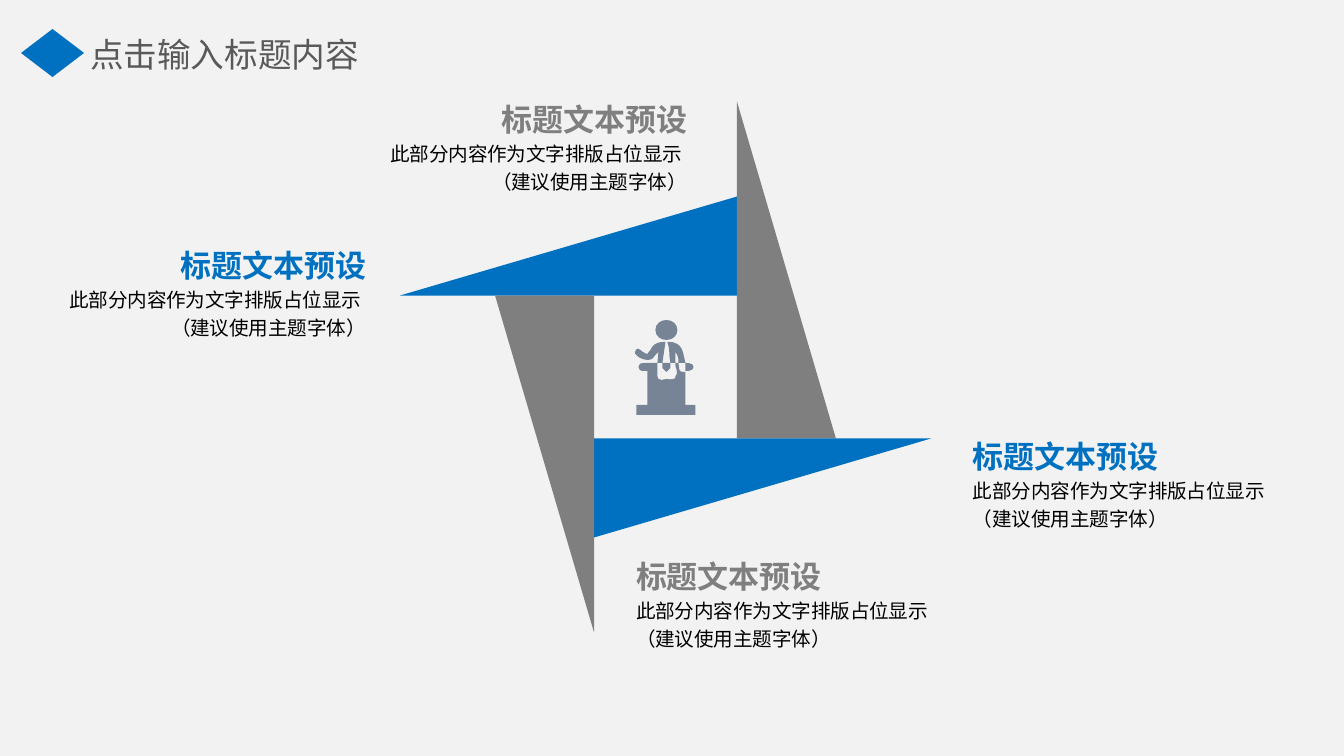
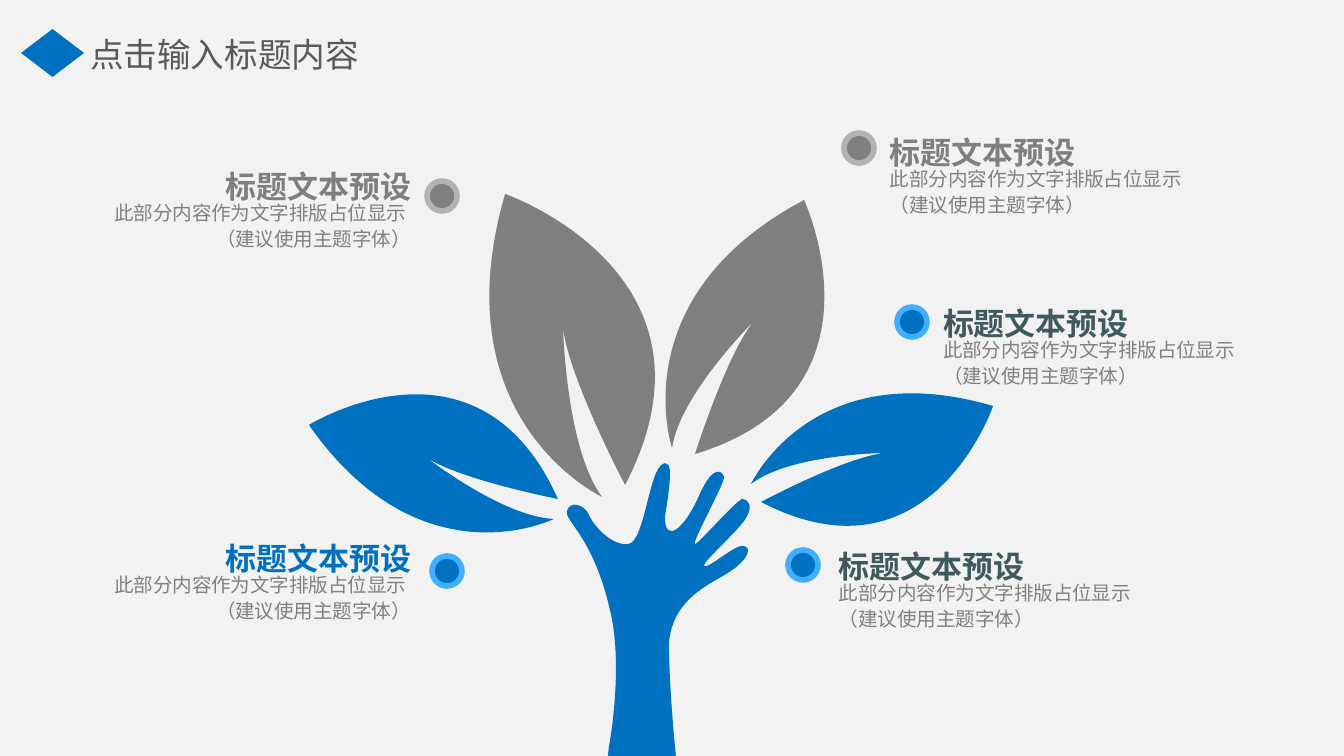
import math
from collections import namedtuple

from lxml import etree
from pptx import Presentation
from pptx import util as u
from pptx.dml.color import RGBColor
from pptx.enum import shapes, text
from pptx.oxml import ns

PX = 914400 / 134.4  # EMU in one px
SLIDE_WIDTH, SLIDE_HEIGHT = 1344, 756
FONT = "Noto Sans CJK SC"
BACKGROUND = RGBColor(0xF2, 0xF2, 0xF2)
BLUE = RGBColor(0x00, 0x70, 0xC0)
LIGHT_BLUE = RGBColor(0x40, 0xAF, 0xFF)
GRAY = RGBColor(0x7F, 0x7F, 0x7F)
LIGHT_GRAY = RGBColor(0xB2, 0xB2, 0xB2)
TEXT_GRAY = RGBColor(0x80, 0x80, 0x80)
TITLE_GRAY = RGBColor(0x59, 0x59, 0x59)
TEAL = RGBColor(0x40, 0x59, 0x5D)
SLATE = RGBColor(0x77, 0x84, 0x95)
BLACK = RGBColor(0x00, 0x00, 0x00)

LEFT, RIGHT = text.PP_ALIGN.LEFT, text.PP_ALIGN.RIGHT
TOP, MIDDLE = text.MSO_ANCHOR.TOP, text.MSO_ANCHOR.MIDDLE

SLIDE_TITLE = "点击输入标题内容"
HEADING = "标题文本预设"
BODY = "此部分内容作为文字排版占位显示 \n（建议使用主题字体）"
HEADING_HEIGHT = 31

Box = namedtuple("Box", "left top width height")
BodyStyle = namedtuple("BodyStyle", "height color line_spacing anchor")

# Outlines: a start point, then lines (x, y), curves whose first control is
# the current point (x2, y2, x, y), and full curves (x1, y1, x2, y2, x, y).
SPEAKER = [
    # head
    [(31, 0), (37, 0, 42, 4, 42, 10), (42, 16, 37, 20, 31, 20),
     (25, 20, 20, 16, 20, 10), (20, 4, 25, 0, 31, 0)],
    # left arm
    [(30, 22), (27, 43), (22, 43), (23, 32), (20, 35),
     (19, 38, 16, 40, 12, 40), (7, 40, 1, 36, 1, 35),
     (-1, 34, -1, 32, 0, 31), (1, 28, 4, 28, 5, 30),
     (7, 32, 11, 34, 12, 34), (12, 34, 13, 32, 15, 30),
     (16, 27, 19, 24, 22, 23), (24, 22, 26, 22, 30, 22)],
    # right arm
    [(32, 22), (36, 22, 39, 22, 42, 24), (46, 27, 47, 30, 48, 34),
     (50, 43), (43, 43), (43, 39), (42, 36, 42, 34, 40, 32),
     (40, 34, 40, 36, 40, 39), (40, 43), (35, 43), (34, 36),
     (34, 34, 34, 28, 32, 22)],
    # tie
    [(27, 43), (35, 43), (35, 48), (31, 52), (27, 48)],
    # right sleeve
    [(50, 43), (55, 43, 58, 44, 58, 47), (58, 50, 55, 51, 50, 51)],
    # lectern
    [(9, 43), (22, 43), (22, 56), (22, 58, 23, 60, 26, 60),
     (27, 60, 30, 59, 31, 59), (34, 59, 36, 60, 38, 59),
     (40, 59, 40, 58, 40, 56), (42, 55, 42, 51, 40, 46), (40, 43),
     (43, 43), (44, 50), (44, 51, 46, 52, 47, 52), (50, 52), (50, 85),
     (60, 85), (60, 95), (1, 95), (1, 85), (12, 85), (12, 51), (9, 51),
     (5, 51, 3, 50, 3, 47), (3, 44, 5, 43, 9, 43)],
]
HAND = [
    (367, 274), (373, 275, 369, 302, 365, 327),
    (365, 354, 384, 340, 399, 306), (414, 272, 423, 282, 424, 287),
    (426, 291, 392, 352, 395, 354), (396, 357, 439, 307, 443, 309),
    (447, 310, 455, 314, 445, 330), (434, 345, 403, 372, 404, 376),
    (407, 380, 432, 357, 442, 356), (453, 356, 449, 369, 431, 381),
    (414, 393, 372, 407, 369, 454), (369, 486, 373, 537, 376, 566),
    (308, 566), (309, 557), (316, 517, 320, 460, 310, 420),
    (293, 346, 264, 331, 267, 321), (270, 310, 285, 315, 289, 325),
    (293, 335, 312, 357, 329, 354), (345, 350, 349, 280, 363, 274),
    (364, 273, 365, 273, 367, 274),
]
# Colour, frame in the tree, rotation and outline, from back to front
TREE = [
    (GRAY, Box(130, -5, 313, 312), 82.7,
     [(302, 307), (139, 231, 205, 4), (435, 84, 325, 295),
      (269, 189, 263, 138), (266, 259, 302, 307)]),
    (BLUE, Box(267, 274, 183, 292), 0, HAND),
    (BLUE, Box(16, 131, 258, 257), 31.4,
     [(254, 329), (121, 395, 9, 235), (178, 130, 258, 309),
      (161, 290, 127, 268), (203, 327, 254, 329)]),
    (GRAY, Box(322, 14, 276, 274), 128.3,
     [(372, 258), (321, 107, 504, 10), (594, 204, 395, 264),
      (427, 163, 454, 131), (380, 204, 372, 258)]),
    (BLUE, Box(450, 155, 251, 250), 172.4,
     [(451, 294), (512, 163, 693, 216), (630, 400, 461, 312),
      (545, 267, 585, 263), (490, 264, 451, 294)]),
]


def emu(*lengths):
    return [u.Emu(round(length * PX)) for length in lengths]


def paint(shape, color):
    shape.shadow.inherit = False
    shape.fill.solid()
    shape.fill.fore_color.rgb = color
    shape.line.fill.background()
    return shape


def add_preset(slide, kind, box, color):
    return paint(slide.shapes.add_shape(kind, *emu(*box)), color)


def add_outline(slide, box, frame, rotation, outlines, color):
    """Curved shape; frame and outlines are measured from the box's corner."""
    left, top = box.left + frame.left, box.top + frame.top
    right, bottom = left + frame.width, top + frame.height
    builder = slide.shapes.build_freeform(*emu(left, top))
    builder.add_line_segments(
        [emu(*corner) for corner in ((right, top), (right, bottom), (left, bottom))])
    shape = paint(builder.convert_to_shape(), color)
    shape.rotation = rotation

    # Turn each point back, so that the rotated frame shows it in place
    cosine, sine = math.cos(math.radians(rotation)), math.sin(math.radians(rotation))
    half_width, half_height = frame.width / 2, frame.height / 2

    def local(x, y):
        x -= frame.left + half_width
        y -= frame.top + half_height
        return emu(half_width + x * cosine + y * sine,
                   half_height + y * cosine - x * sine)

    # Replace the frame's straight sides with lines and Bézier curves
    geometry = shape._element.find(".//" + ns.qn("a:path"))
    for child in list(geometry):
        geometry.remove(child)

    def add_command(tag, points):
        command = etree.SubElement(geometry, ns.qn(tag))
        for x, y in points:
            point = etree.SubElement(command, ns.qn("a:pt"))
            point.set("x", str(int(x)))
            point.set("y", str(int(y)))

    for outline in outlines:
        current = outline[0]
        add_command("a:moveTo", [local(*current)])
        for segment in outline[1:]:
            numbers = current + segment if len(segment) == 4 else segment
            points = [local(*pair) for pair in zip(numbers[::2], numbers[1::2])]
            add_command("a:lnTo" if len(points) == 1 else "a:cubicBezTo", points)
            current = segment[-2:]
        add_command("a:close", [])


def write(shape, content, size, color, bold=False, align=LEFT, anchor=TOP,
          wrap=True, inset=0, line_spacing=None):
    frame = shape.text_frame
    frame.auto_size = text.MSO_AUTO_SIZE.NONE
    frame.word_wrap = wrap
    frame.vertical_anchor = anchor
    frame.margin_left = frame.margin_right = 0
    frame.margin_top = frame.margin_bottom = emu(inset)[0]
    paragraph = frame.paragraphs[0]
    paragraph.text = content
    paragraph.alignment = align
    if line_spacing:
        paragraph.line_spacing = line_spacing
    for run in paragraph.runs:
        run.font.size = u.Pt(size)
        run.font.bold = bold
        run.font.color.rgb = color
        run.font.name = FONT
        # East Asian typeface
        properties = run._r.get_or_add_rPr()
        etree.SubElement(properties, ns.qn("a:ea")).set("typeface", FONT)


def add_text_block(slide, box, color, align, style):
    """Heading with the body text under it."""
    heading = slide.shapes.add_textbox(
        *emu(box.left, box.top, box.width, HEADING_HEIGHT))
    write(heading, HEADING, 16.6, color, bold=True, align=align, wrap=False)
    body = slide.shapes.add_textbox(
        *emu(box.left, box.top + HEADING_HEIGHT, box.width, style.height))
    write(body, BODY, 10.5, style.color, align=align, anchor=style.anchor,
          line_spacing=style.line_spacing)


def add_title_slide(presentation):
    """Title-only slide with the header that all slides share."""
    slide = presentation.slides.add_slide(presentation.slide_layouts[5])
    title = slide.shapes.title
    title.left, title.top, title.width, title.height = emu(90, 26, 313, 56)
    write(title, SLIDE_TITLE, 18, TITLE_GRAY, anchor=MIDDLE, inset=7)
    add_preset(slide, shapes.MSO_SHAPE.DIAMOND, Box(21, 29, 63, 48), BLUE)
    return slide


def add_backdrop(presentation, slide):
    """Full-size rectangle, moved to the back of the slide master."""
    backdrop = add_preset(slide, shapes.MSO_SHAPE.RECTANGLE,
                          Box(0, 0, SLIDE_WIDTH, SLIDE_HEIGHT), BACKGROUND)
    presentation.slide_master.shapes._spTree.insert(2, backdrop._element)


def add_pinwheel(slide, box):
    """Four blades, each a quarter turn on from the last, around a speaker."""
    blade_width, blade_height = 337, 99
    center_x, center_y = box.left + box.width / 2, box.top + box.height / 2
    offset_x, offset_y = -97, -121
    for turn in range(4):
        blade_box = Box(center_x + offset_x - blade_width / 2,
                        center_y + offset_y - blade_height / 2,
                        blade_width, blade_height)
        blade = add_preset(slide, shapes.MSO_SHAPE.RIGHT_TRIANGLE, blade_box,
                           GRAY if turn % 2 else BLUE)
        blade.rotation = 90 * turn
        blade._element.spPr.xfrm.set("flipH", "1")
        offset_x, offset_y = -offset_y, offset_x
    speaker_box = Box(center_x - 30, center_y - 47, 60, 95)
    add_outline(slide, speaker_box, Box(0, 0, 60, 95), 0, SPEAKER, SLATE)


def add_tree(slide, box):
    for color, frame, rotation, outline in TREE:
        add_outline(slide, box, frame, rotation, [outline], color)


def add_dot(slide, left, top, color, ring_color):
    dot = add_preset(slide, shapes.MSO_SHAPE.OVAL, Box(left, top, 30, 30), color)
    dot.line.color.rgb = ring_color
    dot.line.width = u.Pt(3)


def build_pinwheel_slide(presentation):
    slide = add_title_slide(presentation)
    add_backdrop(presentation, slide)
    add_pinwheel(slide, Box(399, 101, 533, 532))
    style = BodyStyle(67, BLACK, 1.2, MIDDLE)
    for left, top, width, color, align in (
            (973, 438, 320, BLUE, LEFT),
            (636, 558, 321, GRAY, LEFT),
            (367, 101, 320, GRAY, RIGHT),
            (52, 247, 314, BLUE, RIGHT)):
        box = Box(left, top, width, HEADING_HEIGHT + style.height)
        add_text_block(slide, box, color, align, style)


def build_tree_slide(presentation):
    slide = add_title_slide(presentation)
    add_tree(slide, Box(300, 190, 700, 566))
    style = BodyStyle(54, TEXT_GRAY, 1.1, TOP)
    gray_dot, blue_dot = (GRAY, LIGHT_GRAY), (BLUE, LIGHT_BLUE)
    for dot_left, dot_top, dot_colors, left, top, width, color, align in (
            (427, 181, gray_dot, 79, 168, 332, GRAY, RIGHT),
            (432, 556, blue_dot, 79, 540, 332, BLUE, RIGHT),
            (844, 133, gray_dot, 890, 134, 332, GRAY, LEFT),
            (897, 307, blue_dot, 943, 305, 321, TEAL, LEFT),
            (788, 550, blue_dot, 839, 548, 426, TEAL, LEFT)):
        add_dot(slide, dot_left, dot_top, *dot_colors)
        box = Box(left, top, width, HEADING_HEIGHT + style.height)
        add_text_block(slide, box, color, align, style)


def main():
    presentation = Presentation()
    presentation.slide_width, presentation.slide_height = emu(SLIDE_WIDTH, SLIDE_HEIGHT)
    build_pinwheel_slide(presentation)
    build_tree_slide(presentation)
    presentation.save("out.pptx")


if __name__ == "__main__":
    main()
